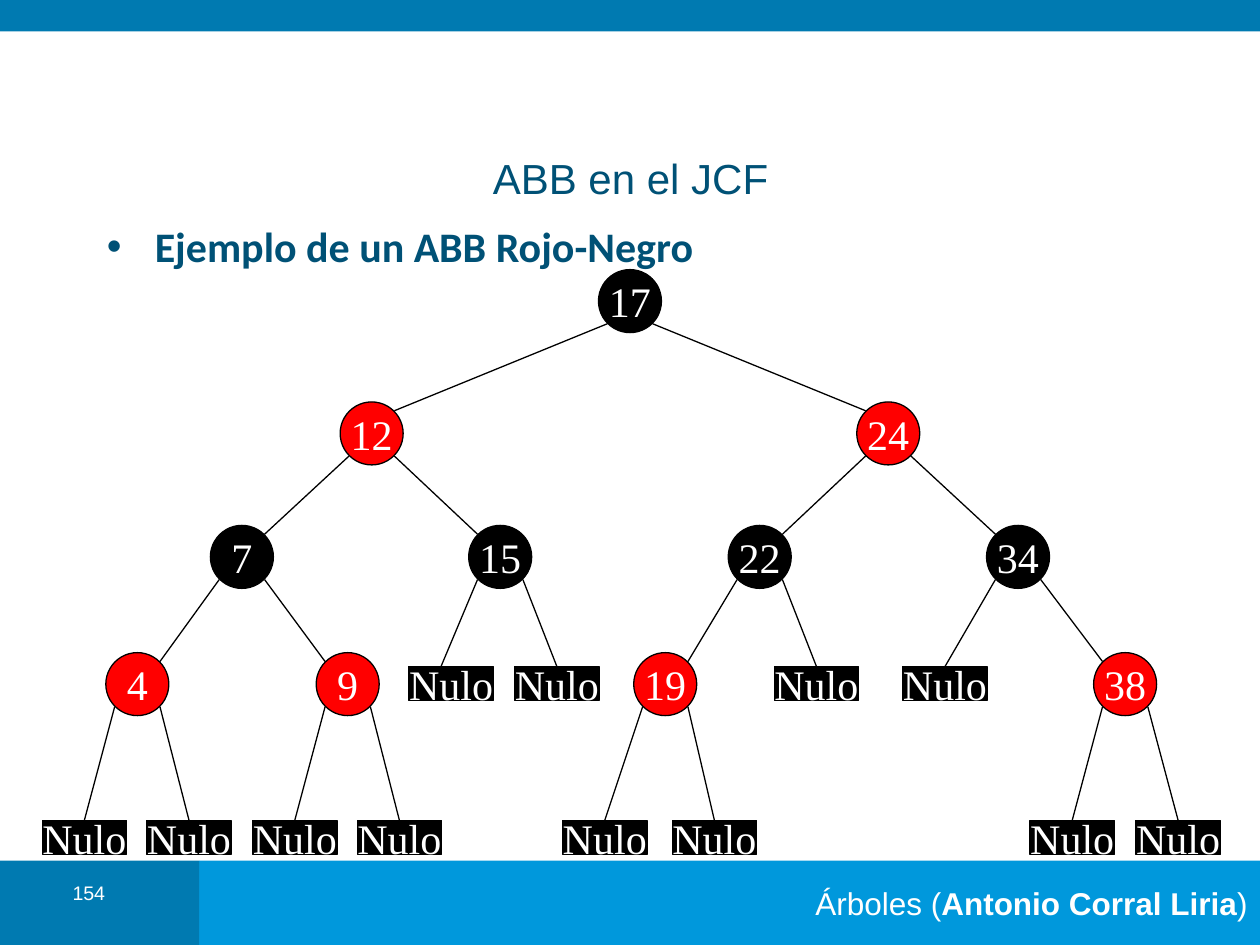
from pptx import Presentation
from pptx.dml.color import RGBColor
from pptx.enum.shapes import MSO_CONNECTOR, MSO_SHAPE
from pptx.enum.text import MSO_ANCHOR, MSO_AUTO_SIZE, PP_ALIGN
from pptx.oxml.ns import qn
from pptx.util import Inches, Pt
from lxml import etree

RECT, OVAL = MSO_SHAPE.RECTANGLE, MSO_SHAPE.OVAL
LINE = MSO_CONNECTOR.STRAIGHT
TOP, MID = MSO_ANCHOR.TOP, MSO_ANCHOR.MIDDLE
LEFT, MIDDLE, RIGHT = PP_ALIGN.LEFT, PP_ALIGN.CENTER, PP_ALIGN.RIGHT

# Content
NAVY, BLUE, SKY = "005176", "007AB1", "0098DC"
WHITE, BLACK, RED = "FFFFFF", "000000", "FF0000"
TITLE = "ABB en el JCF"
POINT = "Ejemplo de un ABB Rojo-Negro"
PAGE = "154"
FOOT = [("Árboles (", False), ("Antonio Corral Liria", True), (")", False)]
NULL = "Nulo"

# A node is (key, centre x, left child, right child); a bare number is a null leaf
TREE = ("17", 5,
        ("12", 2.95,
         ("7", 1.92, ("4", 1.09, 0.67, 1.5), ("9", 2.76, 2.34, 3.17)),
         ("15", 3.97, 3.58, 4.42)),
        ("24", 7.05,
         ("22", 6.03, ("19", 5.28, 4.8, 5.67), 6.48),
         ("34", 8.08, 7.5, ("38", 8.93, 8.51, 9.35))))
ROWS = [2.39, 3.44, 4.42, 5.43]     # centre y of each level of nodes
LEAF = {3: 5.29, 4: 6.51}           # top y of null leaves by level
LAND = {3.58: 3.5}                  # edge that ends off the leaf's centre
SIZE, EDGE = 0.5, 0.18              # node diameter, edge offset from centre
WIDE, HIGH = 0.67, 0.27             # null leaf

prs = Presentation()
prs.slide_width, prs.slide_height = Inches(10), Inches(7.5)
slide = prs.slides.add_slide(prs.slide_layouts[5])
shapes = slide.shapes


def paint(hue):
    return RGBColor.from_string(hue)


def write(shape, runs, size, font, hue, align=MIDDLE, anchor=MID, wrap=False):
    frame = shape.text_frame
    frame.auto_size = MSO_AUTO_SIZE.NONE
    frame.word_wrap = wrap
    frame.vertical_anchor = anchor
    para = frame.paragraphs[0]
    para.alignment = align
    for text, bold in runs:
        run = para.add_run()
        run.text = text
        run.font.size, run.font.name, run.font.bold = Pt(size), font, bold
        run.font.color.rgb = paint(hue)
    return para


def block(kind, x, y, w, h, fill, line=None):
    shape = shapes.add_shape(kind, Inches(x), Inches(y), Inches(w), Inches(h))
    shape.shadow.inherit = False
    shape.fill.solid()
    shape.fill.fore_color.rgb = paint(fill)
    if line:
        shape.line.color.rgb = paint(line)
        shape.line.width = Pt(0.75)
    else:
        shape.line.fill.background()
    return shape


def box(x, y, w, h):
    return shapes.add_textbox(Inches(x), Inches(y), Inches(w), Inches(h))


def join(x1, y1, x2, y2):
    line = shapes.add_connector(LINE, Inches(x1), Inches(y1), Inches(x2), Inches(y2))
    line.line.color.rgb = paint(BLACK)
    line.line.width = Pt(0.75)
    etree.SubElement(line._element.spPr, qn("a:effectLst"))


def label(shape, text):
    write(shape, [(text, False)], 24, "Times New Roman", WHITE)


def grow(node, level=0):
    key, x, *kids = node
    y = ROWS[level]
    for kid, side in zip(kids, (-1, 1)):
        if isinstance(kid, tuple):
            end = kid[1] - side * EDGE, ROWS[level + 1] - EDGE
            grow(kid, level + 1)
        else:
            top = LEAF[level + 1]
            end = LAND.get(kid, kid), top
            label(block(RECT, kid - WIDE / 2, top, WIDE, HIGH, BLACK, BLACK), NULL)
        join(x + side * EDGE, y + EDGE, *end)
    hue = RED if level % 2 else BLACK
    label(block(OVAL, x - SIZE / 2, y - SIZE / 2, SIZE, SIZE, hue, BLACK), key)


# Bars, footer and page number
block(RECT, 0, 0, 10, 0.25, BLUE)
foot = block(RECT, 1.58, 6.83, 8.42, 0.67, SKY)
write(foot, FOOT, 18, "Arial", WHITE, RIGHT)
block(RECT, 0, 6.83, 1.58, 0.67, BLUE)
page = write(box(0.35, 6.98, 0.71, 0.32), [(PAGE, False)], 11.2, "Arial", WHITE,
             anchor=TOP, wrap=True)
page.line_spacing = 0.8

# Title
title = shapes.title
title.left, title.top = Inches(0.83), Inches(1.2)
title.width, title.height = Inches(8.35), Inches(0.42)
write(title, [(TITLE, False)], 24, "Arial", NAVY, wrap=True)

# Bullet point
point = write(box(0.75, 1.7, 9.05, 5.12), [(POINT, True)], 24, "Calibri", NAVY,
              LEFT, TOP, True)
props = point._p.get_or_add_pPr()
props.set("marL", str(Inches(0.38)))
props.set("indent", str(-Inches(0.38)))
tint = etree.SubElement(props, qn("a:buClr"))
etree.SubElement(tint, qn("a:srgbClr"), val=NAVY)
etree.SubElement(props, qn("a:buFont"), typeface="Arial")
etree.SubElement(props, qn("a:buChar"), char="•")

# Red-black tree
grow(TREE)

prs.save("out.pptx")
